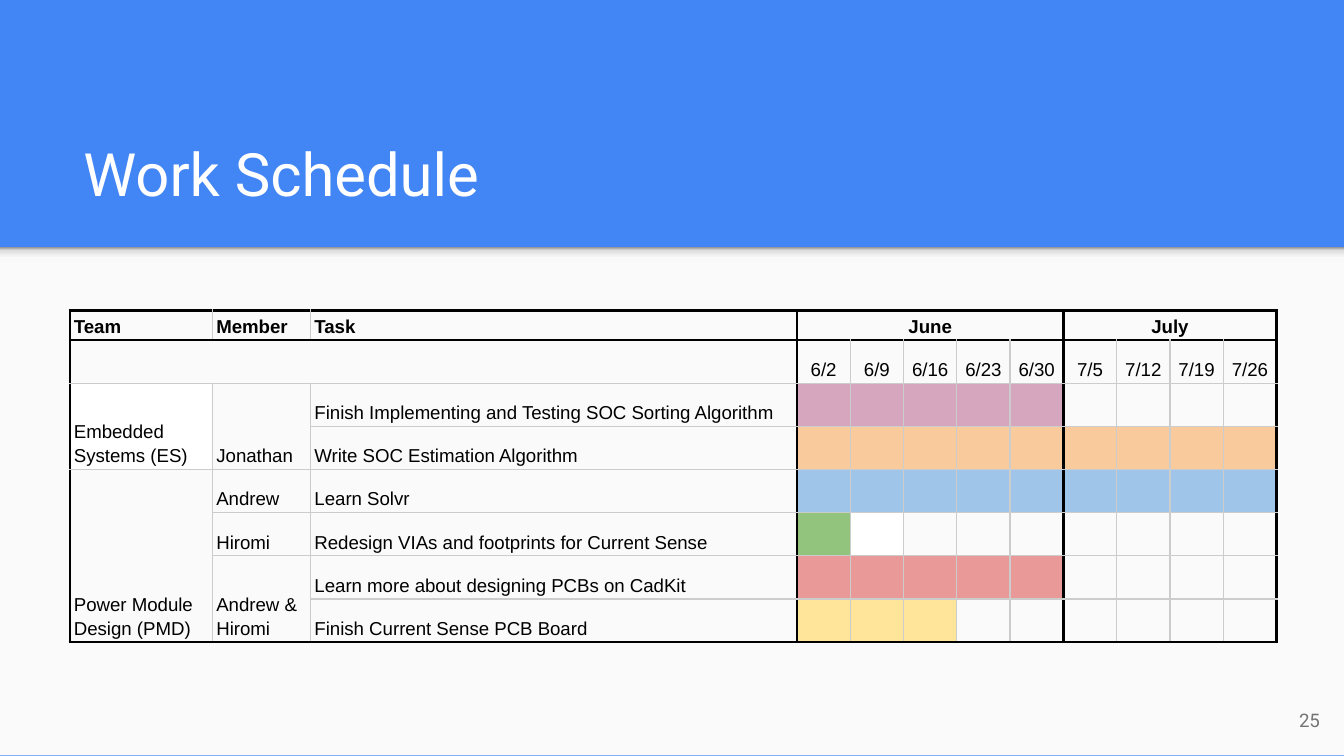
from dataclasses import dataclass

from lxml import etree
from pptx import Presentation
from pptx.dml.color import RGBColor
from pptx.enum.shapes import MSO_SHAPE
from pptx.enum.text import MSO_ANCHOR, MSO_AUTO_SIZE, PP_ALIGN
from pptx.oxml.ns import qn
from pptx.util import Inches, Pt

RECT = MSO_SHAPE.RECTANGLE
BOTTOM, MIDDLE = MSO_ANCHOR.BOTTOM, MSO_ANCHOR.MIDDLE
LEFT, CENTER, RIGHT = PP_ALIGN.LEFT, PP_ALIGN.CENTER, PP_ALIGN.RIGHT
NO_STYLE = "{2D5ABB26-0587-4C30-8999-92F81FD0307C}"


@dataclass(frozen=True)
class Theme:
    blue: str = "4285F4"
    paper: str = "FAFAFA"
    white: str = "FFFFFF"
    ink: str = "000000"
    grid: str = "CCCCCC"
    muted: str = "737373"
    shade: tuple = ((0, "F9F9F9"), (36, "F9F9F9"), (80, "DEDEDE"), (100, "999999"))
    font: str = "Roboto"
    table_font: str = "Arial"
    title_size: int = 32
    small_size: int = 10
    thick: float = 1.5
    thin: float = 0.75


T = Theme()

WEEKS = ["6/2", "6/9", "6/16", "6/23", "6/30", "7/5", "7/12", "7/19", "7/26"]
JUNE_WEEKS = 5
FIRST_WEEK, FIRST_TASK = 3, 2  # first week column, first task row
TASKS = [  # task, bar colour, weeks
    ("Finish Implementing and Testing SOC Sorting Algorithm", "D5A6BD", 5),
    ("Write SOC Estimation Algorithm", "F9CB9C", 9),
    ("Learn Solvr", "9FC5E8", 9),
    ("Redesign VIAs and footprints for Current Sense", "93C47D", 1),
    ("Learn more about designing PCBs on CadKit", "EA9999", 5),
    ("Finish Current Sense PCB Board", "FFE599", 3),
]
GROUPS = [  # row, column, rows spanned, lines
    (2, 0, 2, ["Embedded", "Systems (ES)"]),
    (4, 0, 4, ["Power Module", "Design (PMD)"]),
    (2, 1, 2, ["Jonathan"]),
    (4, 1, 1, ["Andrew"]),
    (5, 1, 1, ["Hiromi"]),
    (6, 1, 2, ["Andrew &", "Hiromi"]),
]
ROWS, COLS = FIRST_TASK + len(TASKS), FIRST_WEEK + len(WEEKS)
JULY = FIRST_WEEK + JUNE_WEEKS


def rgb(value):
    return RGBColor.from_string(value)


def add_run(p, text, size, font, color, bold=False):
    r = p.add_run()
    r.text = text
    r.font.size, r.font.name, r.font.bold = Pt(size), font, bold
    r.font.color.rgb = rgb(color)


def set_frame(tf, anchor):
    tf.word_wrap = True
    tf.auto_size = MSO_AUTO_SIZE.NONE
    tf.vertical_anchor = anchor
    tf.margin_left = tf.margin_right = Inches(0.1)
    tf.margin_top = tf.margin_bottom = Inches(0.1)


def add_panel(s, x, y, w, h):
    """Light content area with a soft shadow along its top edge."""
    for height in (h, 0.12):
        sp = s.shapes.add_shape(RECT, Inches(x), Inches(y), Inches(w), Inches(height))
        sp.shadow.inherit = False
        sp.line.fill.background()
        sp.fill.solid()
        sp.fill.fore_color.rgb = rgb(T.paper)
    spPr = sp._element.spPr
    grad = etree.Element(qn("a:gradFill"))
    stops = etree.SubElement(grad, qn("a:gsLst"))
    for pos, color in T.shade:
        gs = etree.SubElement(stops, qn("a:gs"), pos=str(pos * 1000))
        etree.SubElement(gs, qn("a:srgbClr"), val=color)
    etree.SubElement(grad, qn("a:lin"), ang=str(270 * 60000), scaled="0")
    spPr.replace(spPr.find(qn("a:solidFill")), grad)


def add_title(s, text, x, y, w, h):
    sp = s.shapes.title
    sp.left, sp.top, sp.width, sp.height = map(Inches, (x, y, w, h))
    set_frame(sp.text_frame, BOTTOM)
    p = sp.text_frame.paragraphs[0]
    p.alignment = LEFT
    add_run(p, text, T.title_size, T.font, T.white)


def add_page_number(s, text, x, y, w, h):
    sp = s.shapes.add_textbox(*map(Inches, (x, y, w, h)))
    set_frame(sp.text_frame, MIDDLE)
    p = sp.text_frame.paragraphs[0]
    p.alignment = RIGHT
    add_run(p, text, T.small_size, T.font, T.muted)


def set_borders(cell, row, col, region):
    """The first cell of a region carries its whole outline, the others their outer edges."""
    top, left, bottom, right = region
    first = (row, col) == (top, left)
    edges = [
        ("a:lnL", col == left, left in (0, FIRST_WEEK, JULY)),
        ("a:lnR", col == right, right + 1 in (FIRST_WEEK, JULY, COLS)),
        ("a:lnT", row == top, top in (0, 1)),
        ("a:lnB", row == bottom, bottom in (0, ROWS - 1)),
    ]
    tcPr = cell._tc.get_or_add_tcPr()
    for tag, outer, heavy in edges:
        if first or outer:
            width = Pt(T.thick if heavy else T.thin)
            ln = etree.SubElement(tcPr, qn(tag), w=str(width))
            fill = etree.SubElement(ln, qn("a:solidFill"))
            etree.SubElement(fill, qn("a:srgbClr"), val=T.ink if heavy else T.grid)


def write_cell(cell, lines, align=LEFT, bold=False):
    tf = cell.text_frame
    for i, line in enumerate(lines):
        p = tf.add_paragraph() if i else tf.paragraphs[0]
        p.alignment, p.line_spacing = align, 1.15
        add_run(p, line, T.small_size, T.table_font, T.ink, bold)


def add_schedule(s, x, y, w, h):
    frame = s.shapes.add_table(ROWS, COLS, *map(Inches, (x, y, w, h)))
    tbl = frame.table
    tbl.first_row = tbl.horz_banding = False
    tbl._tbl.tblPr.find(qn("a:tableStyleId")).text = NO_STYLE

    labels, header = [1.06, 0.73, 3.62], 0.22
    widths = labels + [(w - sum(labels)) / len(WEEKS)] * len(WEEKS)
    for column, width in zip(tbl.columns, widths):
        column.width = Inches(width)
    for i, row in enumerate(tbl.rows):
        row.height = Inches((h - header) / (ROWS - 1) if i else header)

    merges = [(0, FIRST_WEEK, 0, JULY - 1), (0, JULY, 0, COLS - 1), (1, 0, 1, FIRST_WEEK - 1)]
    merges += [(r, c, r + n - 1, c) for r, c, n, _ in GROUPS if n > 1]
    regions = {}
    for region in merges:
        r1, c1, r2, c2 = region
        tbl.cell(r1, c1).merge(tbl.cell(r2, c2))
        for r in range(r1, r2 + 1):
            for c in range(c1, c2 + 1):
                regions[r, c] = region

    fills = {(2, 0): T.white, (5, 4): T.white}
    for i, (_, color, weeks) in enumerate(TASKS):
        for k in range(weeks):
            fills[FIRST_TASK + i, FIRST_WEEK + k] = color

    for r in range(ROWS):
        for c in range(COLS):
            cell = tbl.cell(r, c)
            cell.vertical_anchor = BOTTOM
            cell.margin_left = cell.margin_right = Inches(0.03)
            cell.margin_top = cell.margin_bottom = Inches(0.02)
            set_borders(cell, r, c, regions.get((r, c), (r, c, r, c)))
            if (r, c) in fills:
                cell.fill.solid()
                cell.fill.fore_color.rgb = rgb(fills[r, c])
            else:
                cell.fill.background()
            end = etree.SubElement(cell.text_frame.paragraphs[0]._p, qn("a:endParaRPr"))
            end.set("sz", str(T.small_size * 100))

    for c, name in enumerate(["Team", "Member", "Task"]):
        write_cell(tbl.cell(0, c), [name], bold=True)
    for c, month in ((FIRST_WEEK, "June"), (JULY, "July")):
        write_cell(tbl.cell(0, c), [month], CENTER, bold=True)
    for k, week in enumerate(WEEKS):
        write_cell(tbl.cell(1, FIRST_WEEK + k), [week], CENTER)
    for r, c, _, lines in GROUPS:
        write_cell(tbl.cell(r, c), lines)
    for i, (task, _, _) in enumerate(TASKS):
        write_cell(tbl.cell(FIRST_TASK + i, FIRST_WEEK - 1), [task])


def main():
    prs = Presentation()
    prs.slide_width = Inches(10)
    prs.slide_height = prs.slide_width * 9 // 16
    s = prs.slides.add_slide(prs.slide_layouts[5])
    s.background.fill.solid()
    s.background.fill.fore_color.rgb = rgb(T.blue)
    add_panel(s, 0, 1.84, 10, 3.78)
    add_title(s, "Work Schedule", 0.52, 0.81, 8.99, 0.84)
    add_page_number(s, "25", 9.32, 5.14, 0.6, 0.43)
    add_schedule(s, 0.52, 2.31, 8.98, 2.47)
    prs.save("out.pptx")


if __name__ == "__main__":
    main()
